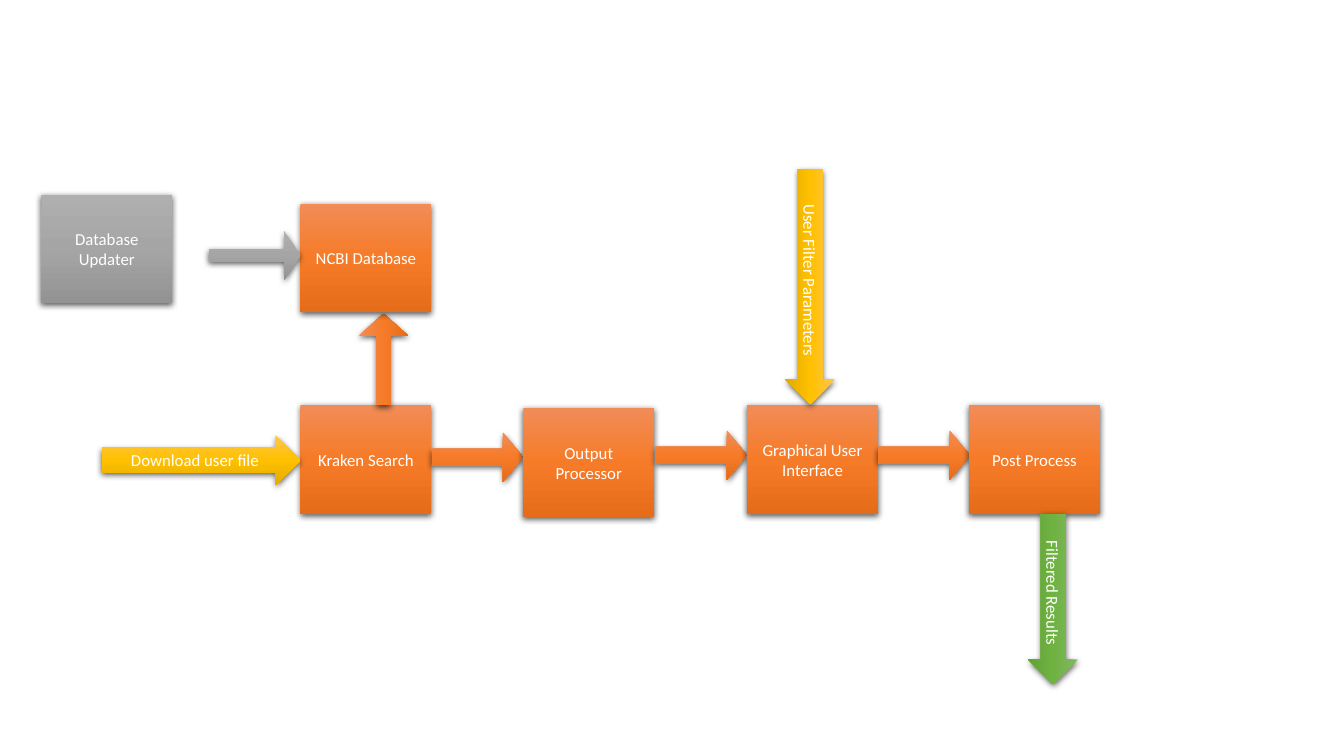
"""Build a one-slide flow diagram of a database search pipeline."""
from copy import deepcopy
from lxml import etree
from pptx import Presentation
from pptx.dml.color import RGBColor
from pptx.enum import shapes, text
from pptx.oxml.ns import qn
from pptx.util import Inches, Pt

COLOURS = {
    "search": ("F18C57", "F67B28", "E56C19"),
    "input": ("FFC64B", "FFC000", "E3AB00"),
    "update": ("AFAFAF", "A5A5A5", "939393"),
    "result": ("81B861", "6FB242", "62A336"),
    "label": "FFFFFF",
    "shadow": "000000",
}
BOX_SIZE = (1.3, 1.08)
ARROW_HEIGHT = 0.49
LINK_LENGTH = 0.91
EVEN, UPWARD, UPDATE, FLOW = (0.5, 0.5), (0.29, 0.45), (0.26, 0.33), (0.33, 0.41)

STEPS = [
    ("box", "Kraken Search", "search", 2.98, 4.02),
    ("arrow", "Download user file", "input", 1.01, 4.32, 1.97, 0, EVEN),
    ("arrow", "", "search", 3.35, 3.32, LINK_LENGTH, 270, UPWARD),
    ("box", "NCBI Database", "search", 2.98, 2.02),
    ("box", "Database Updater", "update", 0.41, 1.93),
    ("arrow", "", "update", 2.07, 2.29, LINK_LENGTH, 0, UPDATE),
    ("arrow", "", "search", 4.28, 4.29, LINK_LENGTH, 0, FLOW),
    ("box", "Output Processor", "search", 5.19, 4.05),
    ("arrow", "", "search", 6.5, 4.27, LINK_LENGTH, 0, FLOW),
    ("box", "Graphical User Interface", "search", 7.41, 4.02),
    ("arrow", "User Filter Parameters", "input", 6.87, 2.6, 2.33, 90, EVEN),
    ("arrow", "", "search", 8.71, 4.27, LINK_LENGTH, 0, FLOW),
    ("box", "Post Process", "search", 9.61, 4.02),
    ("arrow", "Filtered Results", "result", 9.6, 5.7, 1.69, 90, EVEN),
]


def shade(shape, palette):
    shape.fill.gradient()
    shape.fill.gradient_angle = 270
    stops = shape._element.spPr.find(".//" + qn("a:gsLst"))
    stops.insert(1, deepcopy(stops[0]))
    for stop, colour, position in zip(shape.fill.gradient_stops, palette, (0, 0.5, 1)):
        stop.color.rgb = RGBColor.from_string(colour)
        stop.position = position
    shape.line.fill.background()


def cast_shadow(shape):
    shape.shadow.inherit = False
    effects = shape._element.spPr.find(qn("a:effectLst"))
    shadow = etree.SubElement(
        effects, qn("a:outerShdw"), blurRad=str(Pt(4.5)), dist=str(Pt(1.5)),
        dir="5400000", algn="ctr", rotWithShape="0")
    colour = etree.SubElement(shadow, qn("a:srgbClr"), val=COLOURS["shadow"])
    etree.SubElement(colour, qn("a:alpha"), val="63000")


def write_label(shape, label):
    frame = shape.text_frame
    frame.word_wrap = True
    frame.vertical_anchor = text.MSO_ANCHOR.MIDDLE
    para = frame.paragraphs[0]
    para.text = label
    para.alignment = text.PP_ALIGN.CENTER
    para.font.name = "Calibri"
    para.font.size = Pt(12)
    para.font.color.rgb = RGBColor.from_string(COLOURS["label"])


def add_step(page, kind, label, role, left, top, length=0, rotation=0, bends=()):
    is_box = kind == "box"
    preset = shapes.MSO_SHAPE.RECTANGLE if is_box else shapes.MSO_SHAPE.RIGHT_ARROW
    size = BOX_SIZE if is_box else (length, ARROW_HEIGHT)
    shape = page.shapes.add_shape(preset, *map(Inches, (left, top, *size)))
    shape.rotation = rotation
    for index, bend in enumerate(bends):
        shape.adjustments[index] = bend
    shade(shape, COLOURS[role])
    cast_shadow(shape)
    if label:
        write_label(shape, label)


deck = Presentation()
deck.slide_width, deck.slide_height = Inches(13.33), Inches(7.5)
page = deck.slides.add_slide(deck.slide_layouts[6])
for step in STEPS:
    add_step(page, *step)
deck.save("out.pptx")
